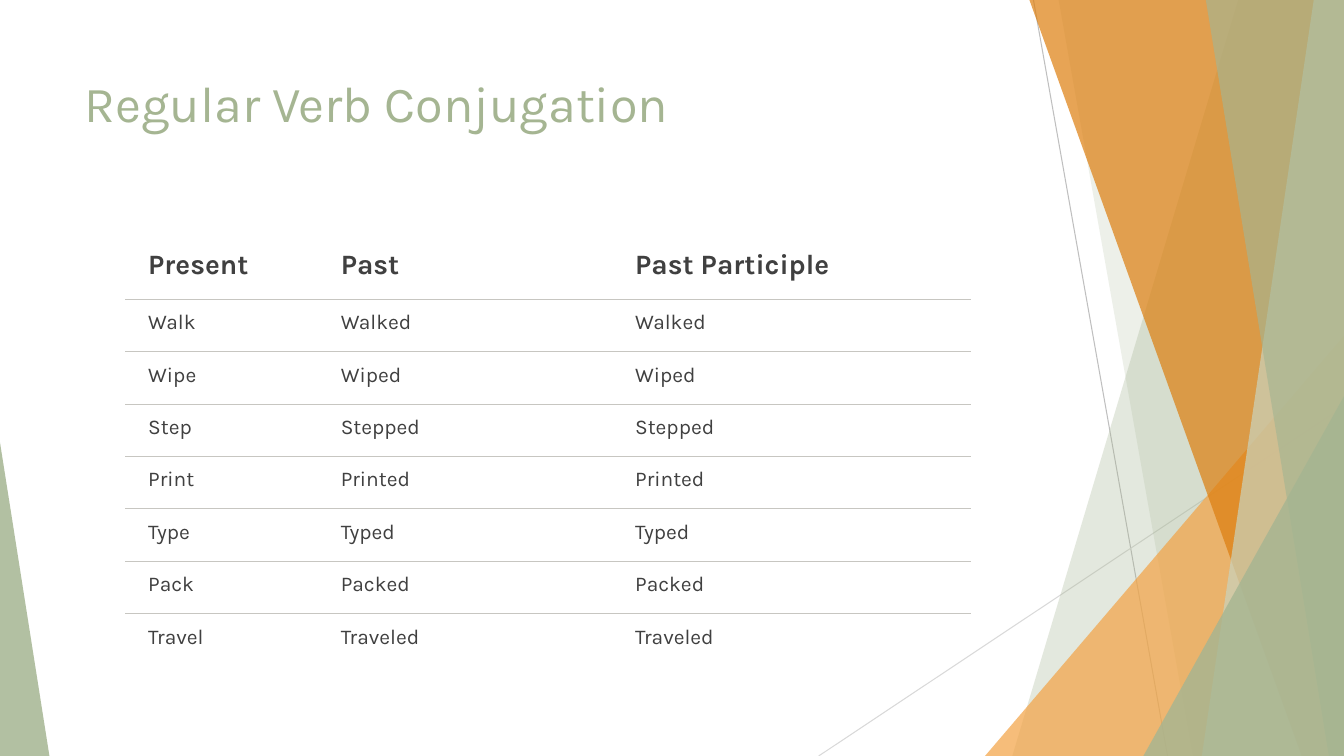
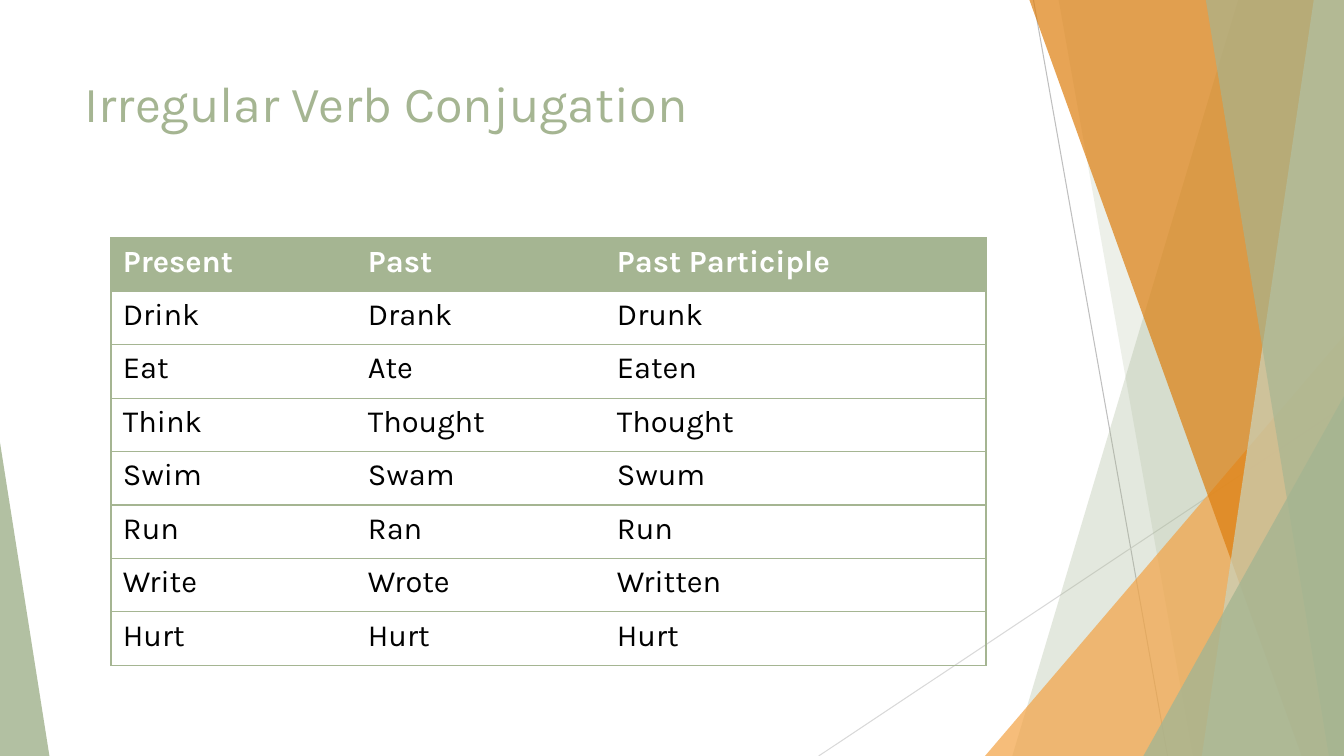
import pptx
import pptx.util
import pptx.dml.color
import pptx.enum.shapes
import pptx.enum.text
import pptx.oxml.ns
import lxml.etree

Inches = pptx.util.Inches
Pt = pptx.util.Pt
qn = pptx.oxml.ns.qn

WIDTH, HEIGHT = 13.33, 7.5
FONT = "Karla"
COLORS = {
    "sage": "A5B592", "pale sage": "C9D3BE", "apricot": "F3A447",
    "orange": "DD7E0E", "gray line": "BFBFBF", "light line": "D9D9D9",
    "table rule": "C7C6C1", "text": "404040", "black": "000000", "white": "FFFFFF",
}

LINES = [
    (10.25, 0, 11.58, HEIGHT, "gray line"),
    (WIDTH, 4.03, 8.12, HEIGHT, "light line"),
]
BACKDROP = [
    ("band", (12.28, 10.04), "sage", 30),
    ("band", (10.5, 11.83), "sage", 20),
    ("triangle", (9.77, 3.33, WIDTH - 9.77, 1), "apricot", 72),
    ("band", (10.21, 12.91), "orange", 70),
    ("band", (13.03, 11.92), "pale sage", 70),
    ("band", (11.96, 13.18), "sage", 65),
    ("triangle", (11.34, 3.93, WIDTH - 11.34, 1), "sage", 80),
    ("triangle", (0, 4.39, 0.49, 0), "sage", 85),
]

SLIDES = [
    {
        "title": "Regular Verb Conjugation",
        "left": 1.24, "columns": [1.91, 2.92, 3.56], "header height": 0.61, "row height": 0.52,
        "margins": (0.23, 0.11, 0.17, 0.11), "sizes": (20, 15), "colors": ("text", "text"),
        "rule": ("table rule", 0.75), "outlined": False,
        "verbs": [
            ("Present", "Past", "Past Participle"),
            ("Walk", "Walked", "Walked"),
            ("Wipe", "Wiped", "Wiped"),
            ("Step", "Stepped", "Stepped"),
            ("Print", "Printed", "Printed"),
            ("Type", "Typed", "Typed"),
            ("Pack", "Packed", "Packed"),
            ("Travel", "Traveled", "Traveled"),
        ],
    },
    {
        "title": "Irregular Verb Conjugation",
        "left": 1.1, "columns": [2.43, 2.47, 3.78], "header height": 0.53, "row height": 0.53,
        "margins": (0.12, 0.06, 0.12, 0.06), "sizes": (22, 22), "colors": ("white", "black"),
        "rule": ("sage", 1), "outlined": True,
        "verbs": [
            ("Present", "Past", "Past Participle"),
            ("Drink", "Drank", "Drunk"),
            ("Eat", "Ate", "Eaten"),
            ("Think", "Thought", "Thought"),
            ("Swim", "Swam", "Swum"),
            ("Run", "Ran", "Run"),
            ("Write", "Wrote", "Written"),
            ("Hurt", "Hurt", "Hurt"),
        ],
    },
]


def rgb(name):
    return pptx.dml.color.RGBColor.from_string(COLORS[name])


def add_run(paragraph, text, size, color, bold=False):
    run = paragraph.add_run()
    run.text = text
    run.font.name = FONT
    run.font.size = Pt(size)
    run.font.bold = bold
    run.font.color.rgb = rgb(color)


presentation = pptx.Presentation()
presentation.slide_width = Inches(WIDTH)
presentation.slide_height = Inches(HEIGHT)

for content in SLIDES:
    slide = presentation.slides.add_slide(presentation.slide_layouts[6])
    shapes = slide.shapes

    for *ends, color in LINES:
        connector = shapes.add_connector(
            pptx.enum.shapes.MSO_CONNECTOR.STRAIGHT, *[Inches(end) for end in ends])
        connector.line.color.rgb = rgb(color)
        connector.line.width = Pt(0.75)
        lxml.etree.SubElement(connector.element.spPr, qn("a:effectLst"))

    for kind, geometry, color, opacity in BACKDROP:
        if kind == "band":
            top_x, bottom_x = geometry
            builder = shapes.build_freeform(Inches(top_x), 0)
            corners = [(WIDTH, 0), (WIDTH, HEIGHT), (bottom_x, HEIGHT)]
            builder.add_line_segments([(Inches(x), Inches(y)) for x, y in corners])
            shape = builder.convert_to_shape()
        else:
            left, top, width, apex = geometry
            shape = shapes.add_shape(
                pptx.enum.shapes.MSO_SHAPE.ISOSCELES_TRIANGLE,
                Inches(left), Inches(top), Inches(width), Inches(HEIGHT - top))
            shape.adjustments[0] = apex
        shape.shadow.inherit = False
        shape.line.fill.background()
        shape.fill.solid()
        shape.fill.fore_color.rgb = rgb(color)
        solid_color = shape.element.spPr.find(".//" + qn("a:srgbClr"))
        lxml.etree.SubElement(solid_color, qn("a:alpha"), val=str(opacity * 1000))

    title = shapes.add_textbox(Inches(0.74), Inches(0.67), Inches(9.4), Inches(1.44))
    title.text_frame.word_wrap = True
    add_run(title.text_frame.paragraphs[0], content["title"], 36, "sage")

    verbs, columns = content["verbs"], content["columns"]
    last_row, last_column = len(verbs) - 1, len(columns) - 1
    heights = [content["header height"]] + [content["row height"]] * last_row
    outlined = content["outlined"]
    rule_color, rule_width = content["rule"]
    table = shapes.add_table(
        len(verbs), len(columns), Inches(content["left"]), Inches(2.36),
        Inches(sum(columns)), Inches(sum(heights))).table
    table.first_row = False
    table.horz_banding = False
    for column, width in zip(table.columns, columns):
        column.width = Inches(width)

    for row_index, words in enumerate(verbs):
        table.rows[row_index].height = Inches(heights[row_index])
        is_header = row_index == 0
        style = 0 if is_header else 1
        for column_index, word in enumerate(words):
            cell = table.cell(row_index, column_index)
            cell.margin_left, cell.margin_top, cell.margin_right, cell.margin_bottom = [
                Inches(margin) for margin in content["margins"]]
            cell.vertical_anchor = pptx.enum.text.MSO_ANCHOR.TOP
            add_run(cell.text_frame.paragraphs[0], word, content["sizes"][style],
                    content["colors"][style], is_header)

            borders = {
                "a:lnL": outlined and column_index == 0,
                "a:lnR": outlined and column_index == last_column,
                "a:lnT": outlined or row_index > 0,
                "a:lnB": outlined or row_index < last_row,
            }
            properties = cell._tc.get_or_add_tcPr()
            for side, visible in borders.items():
                border = lxml.etree.SubElement(properties, qn(side), w=str(Pt(rule_width)))
                if visible:
                    fill = lxml.etree.SubElement(border, qn("a:solidFill"))
                    lxml.etree.SubElement(fill, qn("a:srgbClr"), val=COLORS[rule_color])
                else:
                    lxml.etree.SubElement(border, qn("a:noFill"))

            if is_header and outlined:
                cell.fill.solid()
                cell.fill.fore_color.rgb = rgb("sage")
            else:
                cell.fill.background()

presentation.save("out.pptx")
